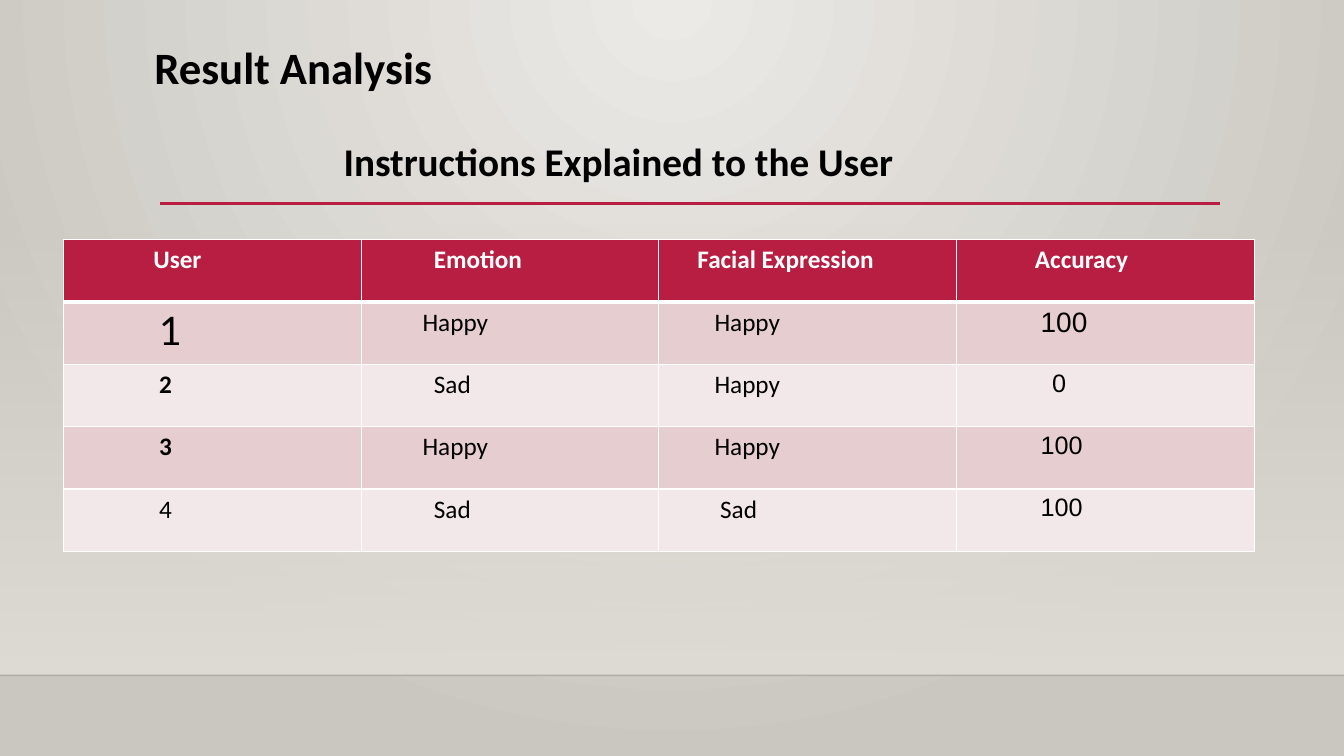
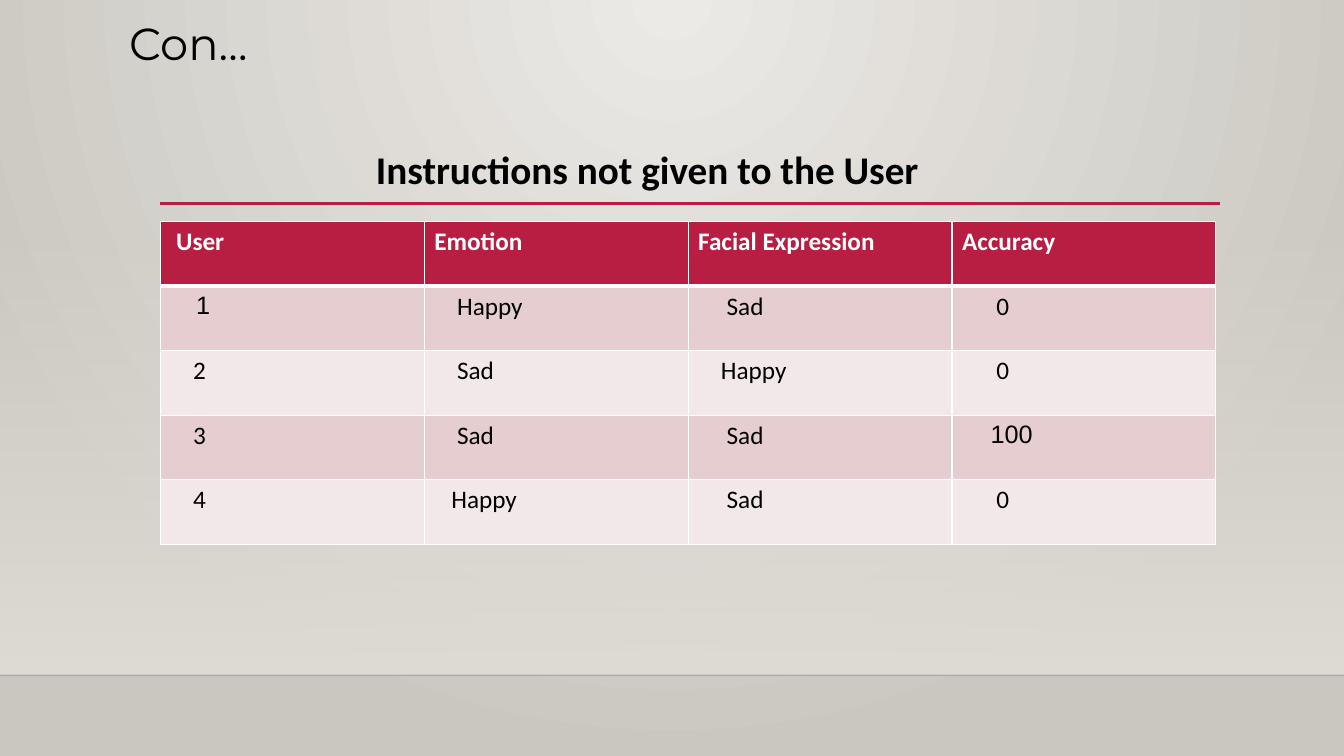
import pptx
import pptx.util
import pptx.dml.color
import pptx.enum.shapes
import pptx.enum.text
import pptx.oxml
import pptx.oxml.ns
import lxml.etree

Inches, Pt, qn = pptx.util.Inches, pptx.util.Pt, pptx.oxml.ns.qn

COLORS = {
    "accent": "B71E42",
    "band_dark": "E6CDCF",
    "band_light": "F3E8E9",
    "glow": "ECEAE7",
    "edge": "CAC7C1",
    "floor": "DFDBD5",
    "floor_line": "000001",
    "text": "000000",
    "white": "FFFFFF",
}
WIDTH, HEIGHT = 13.33, 7.5
FLOOR_TOP, FLOOR_BOTTOM = 2.21, 6.7
CELL_MARGIN, INDENT_STEP = 0.1, 0.0565
HEADERS = ["User", "Emotion", "Facial Expression", "Accuracy"]


def rgb(name):
    """Return the named palette colour."""
    return pptx.dml.color.RGBColor.from_string(COLORS[name])


def style(font, size, name="Calibri", bold=False, color="text"):
    """Set size, typeface, weight and colour of a font."""
    font.size, font.name, font.bold = Pt(size), name, bold
    font.color.rgb = rgb(color)


def set_alpha(element, percent):
    """Give the first RGB colour inside an element an opacity."""
    color = next(element.iter(qn("a:srgbClr")))
    lxml.etree.SubElement(color, qn("a:alpha"), val=str(percent * 1000))


def set_gradient(fill, first, last):
    """Turn a fill into a two-stop gradient."""
    fill.gradient()
    for stop, name in zip(fill.gradient_stops, (first, last)):
        stop.color.rgb = rgb(name)


def add_rule(slide, left, right, y, color, width):
    """Draw a horizontal line without shadow and return it."""
    line = slide.shapes.add_connector(
        pptx.enum.shapes.MSO_CONNECTOR.STRAIGHT,
        Inches(left), Inches(y), Inches(right), Inches(y))
    line.line.color.rgb = rgb(color)
    line.line.width = Pt(width)
    lxml.etree.SubElement(line.element.spPr, qn("a:effectLst"))
    return line


def add_backdrop(slide):
    """Paint the radial background, the floor and the title rule."""
    set_gradient(slide.background.fill, "glow", "edge")
    grad = next(slide.element.iter(qn("a:gradFill")))
    grad.remove(grad.find(qn("a:lin")))
    circle = lxml.etree.SubElement(grad, qn("a:path"), path="circle")
    lxml.etree.SubElement(circle, qn("a:fillToRect"),
                          l="43000", t="0", r="43000", b="100000")

    floor = slide.shapes.add_shape(
        pptx.enum.shapes.MSO_SHAPE.RECTANGLE, 0, Inches(FLOOR_TOP),
        Inches(WIDTH), Inches(FLOOR_BOTTOM - FLOOR_TOP))
    floor.shadow.inherit = False
    floor.line.fill.background()
    set_gradient(floor.fill, "floor", "floor")
    floor.fill.gradient_angle = 270
    set_alpha(floor.element.spPr, 0)

    edge = add_rule(slide, 0, WIDTH, FLOOR_BOTTOM, "floor_line", 1)
    set_alpha(edge.element.spPr, 20)
    add_rule(slide, 1.59, 12.1, 2.02, "accent", 2.5)


def set_text(sp, box, text, size, **font):
    """Place a text shape in its box and write one left-aligned line."""
    sp.left, sp.top, sp.width, sp.height = map(Inches, box)
    tf = sp.text_frame
    tf.word_wrap = True
    tf.auto_size = pptx.enum.text.MSO_AUTO_SIZE.NONE
    tf.vertical_anchor = pptx.enum.text.MSO_ANCHOR.TOP
    p = tf.paragraphs[0]
    p.text = text
    p.alignment = pptx.enum.text.PP_ALIGN.LEFT
    style(p.font, size, **font)


def set_borders(cell, top, bottom):
    """Give a cell white borders with the given top and bottom widths."""
    tcPr = cell._tc.get_or_add_tcPr()
    widths = {"lnL": 1, "lnR": 1, "lnT": top, "lnB": bottom}
    for i, (side, width) in enumerate(widths.items()):
        ln = pptx.oxml.parse_xml(
            f'<a:{side} {pptx.oxml.ns.nsdecls("a")} w="{Pt(width)}"><a:solidFill>'
            f'<a:srgbClr val="{COLORS["white"]}"/></a:solidFill></a:{side}>')
        tcPr.insert(i, ln)


def add_results(slide, box, rows, indents, fonts):
    """Fill a box with the result table, indenting each cell by its steps."""
    left, top, width, height = map(Inches, box)
    table = slide.shapes.add_table(
        len(rows) + 1, len(HEADERS), left, top, width, height).table
    for i, values in enumerate([HEADERS] + rows):
        if i == 0:
            fill, base = "accent", {"size": 18, "bold": True, "color": "white"}
        else:
            fill, base = "band_dark" if i % 2 else "band_light", {"size": 18}
        for j, value in enumerate(values):
            cell = table.cell(i, j)
            cell.fill.solid()
            cell.fill.fore_color.rgb = rgb(fill)
            cell.margin_left = Inches(CELL_MARGIN + INDENT_STEP * indents[i][j])
            set_borders(cell, 3 if i == 1 else 1, 3 if i == 0 else 1)
            p = cell.text_frame.paragraphs[0]
            p.text = value
            style(p.font, **{**base, **fonts.get((i, j), {})})


def add_result_slide(prs, title, subtitle, table):
    """Add a slide with title, subtitle and result table."""
    slide = prs.slides.add_slide(prs.slide_layouts[5])
    add_backdrop(slide)
    add_results(slide, **table)
    set_text(slide.shapes.title, **title)
    set_text(slide.shapes.add_textbox(0, 0, 0, 0), size=28, bold=True, **subtitle)


def main():
    """Build and save the presentation."""
    prs = pptx.Presentation()
    prs.slide_width, prs.slide_height = Inches(WIDTH), Inches(HEIGHT)
    arial = {"name": "Arial"}
    add_result_slide(
        prs,
        title={"box": (1.43, 0.34, 3.69, 0.64), "text": "Result Analysis",
               "size": 32, "bold": True},
        subtitle={"box": (3.31, 1.31, 6.71, 0.57),
                  "text": "Instructions Explained to the User"},
        table={
            "box": (0.63, 2.38, 11.81, 3.09),
            "rows": [["1", "Happy", "Happy", "100"],
                     ["2", "Sad", "Happy", "0"],
                     ["3", "Happy", "Happy", "100"],
                     ["4", "Sad", "Sad", "100"]],
            "indents": [[14, 11, 5, 12], [15, 9, 8, 13], [15, 11, 8, 15],
                        [15, 9, 8, 13], [15, 11, 9, 13]],
            "fonts": {(1, 0): {"name": "Lato", "size": 28},
                      (2, 0): {"bold": True}, (3, 0): {"bold": True},
                      (1, 3): {"name": "Arial", "size": 20},
                      (2, 3): arial, (3, 3): arial, (4, 3): arial},
        })
    add_result_slide(
        prs,
        title={"box": (1.18, 0.11, 4.34, 0.64), "text": "Con…",
               "size": 32, "name": "Montserrat"},
        subtitle={"box": (3.63, 1.39, 6.61, 0.57),
                  "text": "Instructions not given to the User"},
        table={
            "box": (1.59, 2.2, 10.47, 3.2),
            "rows": [["1", "Happy", "Sad", "0"],
                     ["2", "Sad", "Happy", "0"],
                     ["3", "Sad", "Sad", "100"],
                     ["4", "Happy", "Sad", "0"]],
            "indents": [[1, 0, 0, 0], [4.5, 4, 5, 6], [4, 4, 4, 6],
                        [4, 4, 5, 5], [4, 3, 5, 6]],
            "fonts": {(1, 0): arial, (3, 3): arial},
        })
    prs.save("out.pptx")


if __name__ == "__main__":
    main()
